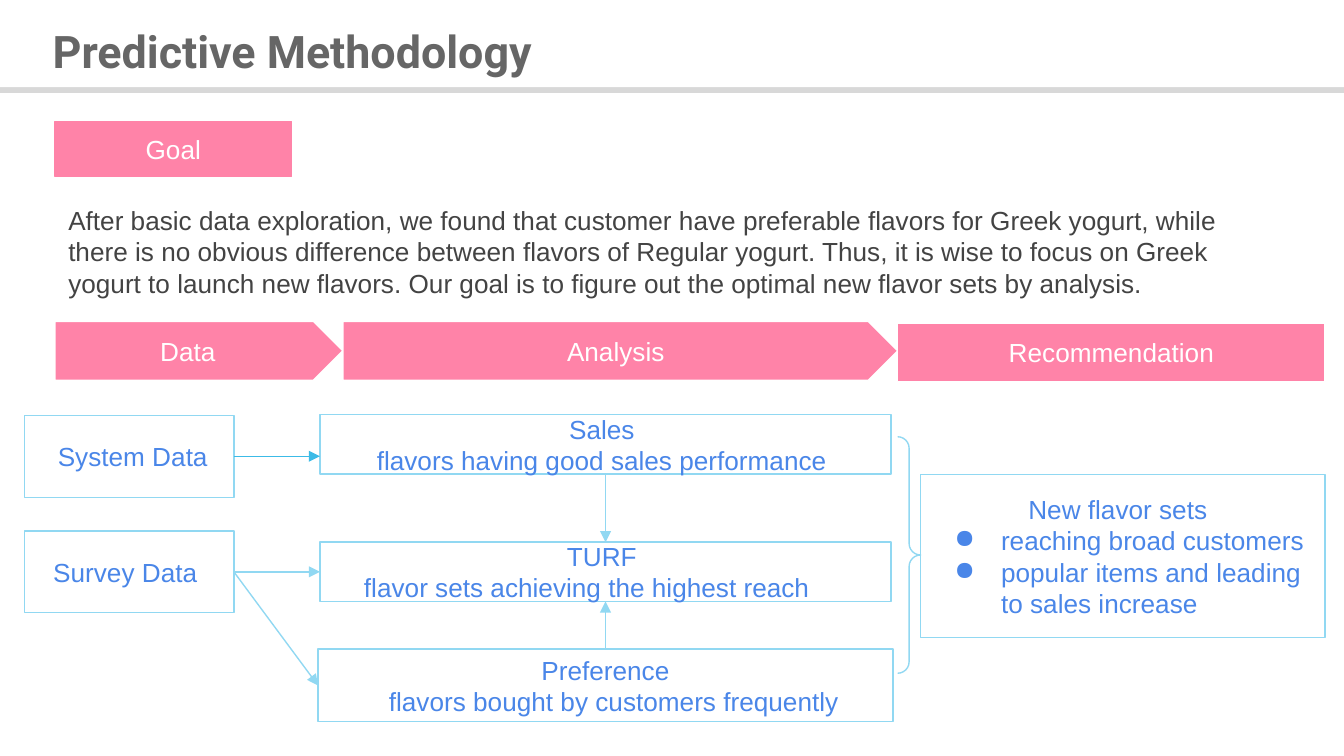
from lxml.etree import SubElement
from pptx import Presentation
from pptx.dml.color import RGBColor
from pptx.enum.shapes import MSO_CONNECTOR, MSO_SHAPE
from pptx.enum.text import MSO_ANCHOR, PP_ALIGN
from pptx.oxml.ns import qn
from pptx.util import Pt

WHITE = RGBColor(0xFF, 0xFF, 0xFF)
PINK = RGBColor(0xFF, 0x83, 0xA8)
BLUE = RGBColor(0x4A, 0x86, 0xE8)
SKY = RGBColor(0x91, 0xD8, 0xF2)
BRIGHT_SKY = RGBColor(0x3C, 0xBB, 0xE7)
TITLE_GRAY = RGBColor(0x66, 0x66, 0x66)
BODY_GRAY = RGBColor(0x43, 0x43, 0x43)
RULE_GRAY = RGBColor(0xD8, 0xD8, 0xD8)

TITLE = "Predictive Methodology"
GOAL = (
    "After basic data exploration, we found that customer have preferable flavors "
    "for Greek yogurt, while there is no obvious difference between flavors of "
    "Regular yogurt. Thus, it is wise to focus on Greek yogurt to launch new flavors. "
    "Our goal is to figure out the optimal new flavor sets by analysis."
)
# label, shape, (left, top, width, height), outline, text shift
BANNERS = [
    ("Goal", MSO_SHAPE.RECTANGLE, (29.5, 65, 126.7, 29.5), PINK, 0),
    ("Data", MSO_SHAPE.PENTAGON, (29.5, 172.2, 154.2, 31.5), WHITE, -2),
    ("Analysis", MSO_SHAPE.PENTAGON, (183.7, 172.2, 297.2, 31.5), WHITE, 1.5),
    ("Recommendation", MSO_SHAPE.RECTANGLE, (480.9, 173, 229, 31.5), WHITE, 0),
]
STEPS = {
    "system": ((13, 222.5, 112.3, 43.9), [("System Data", 2)]),
    "survey": ((13, 284.4, 112.3, 43.9), [("Survey Data", -2)]),
    "sales": ((171.4, 222.2, 306, 31.7),
              [("Sales", -2), ("flavors having good sales performance", -2)]),
    "turf": ((171.4, 290.5, 306, 31.7),
             [("TURF", -2), ("flavor sets achieving the highest reach", -10)]),
    "preference": ((170.4, 347.8, 308, 38.9),
                   [("Preference", 0), ("flavors bought by customers frequently", 4.5)]),
}
RESULT_BOX = (493.2, 254.2, 216.6, 87.5)
RESULT_HEADING = "New flavor sets"
RESULTS = ["reaching broad customers", "popular items and leading to sales increase"]
TOP, LEFT, BOTTOM, RIGHT = range(4)
LINKS = [
    ("survey", RIGHT, "turf", LEFT),
    ("survey", RIGHT, "preference", LEFT),
    ("sales", BOTTOM, "turf", TOP),
    ("preference", TOP, "turf", BOTTOM),
]


def points(values):
    return [Pt(value) for value in values]


def set_frame(frame, anchor, side=7.2, edge=7.2):
    formats = {
        "word_wrap": True, "vertical_anchor": anchor,
        "margin_left": Pt(side), "margin_right": Pt(side),
        "margin_top": Pt(edge), "margin_bottom": Pt(edge),
    }
    for name, value in formats.items():
        setattr(frame, name, value)


def write(paragraph, text, color, align=PP_ALIGN.CENTER, shift=0, **formats):
    paragraph.alignment = align
    if shift:
        margin = "marL" if shift > 0 else "marR"
        paragraph._p.get_or_add_pPr().set(margin, str(Pt(abs(shift) * 2)))
    run = paragraph.add_run()
    run.text = text
    run.font.color.rgb = color
    for name, value in {"name": "Arial", "size": Pt(14), **formats}.items():
        setattr(run.font, name, value)


def add_box(kind, place, outline, fill=None, weight=0.75):
    box = slide.shapes.add_shape(kind, *points(place))
    box.shadow.inherit = False
    if fill is None:
        box.fill.background()
    else:
        box.fill.solid()
        box.fill.fore_color.rgb = fill
    box.line.color.rgb = outline
    box.line.width = Pt(weight)
    set_frame(box.text_frame, MSO_ANCHOR.MIDDLE)
    return box


def add_lines(frame, lines, color):
    for index, (text, shift) in enumerate(lines):
        paragraph = frame.add_paragraph() if index else frame.paragraphs[0]
        write(paragraph, text, color, shift=shift)


def add_arrow(color, start=(0, 0), end=(0, 0)):
    arrow = slide.shapes.add_connector(MSO_CONNECTOR.STRAIGHT, *points(start + end))
    arrow.line.color.rgb = color
    arrow.line.width = Pt(0.75)
    SubElement(arrow.line._get_or_add_ln(), qn("a:tailEnd"), type="triangle")
    SubElement(arrow._element.spPr, qn("a:effectLst"))
    return arrow


def add_bullet(paragraph):
    properties = paragraph._p.get_or_add_pPr()
    properties.set("marL", str(Pt(36)))
    properties.set("indent", str(Pt(-25)))
    bullet_color = SubElement(properties, qn("a:buClr"))
    SubElement(bullet_color, qn("a:srgbClr"), val=str(BLUE))
    SubElement(properties, qn("a:buChar"), char="●")


deck = Presentation()
deck.slide_width, deck.slide_height = Pt(720), Pt(405)
slide = deck.slides.add_slide(deck.slide_layouts[6])

title = slide.shapes.add_textbox(*points((-81.4, 15.1, 476, 29.5))).text_frame
set_frame(title, MSO_ANCHOR.BOTTOM, 5, 2.9)
write(title.paragraphs[0], TITLE, TITLE_GRAY, name="Roboto", size=Pt(24), bold=True)
add_box(MSO_SHAPE.RIGHT_ARROW, (-22.3, 44, 764.6, 8.6), WHITE, RULE_GRAY, 1)

goal = slide.shapes.add_textbox(*points((29.5, 102.2, 640.8, 58.3))).text_frame
set_frame(goal, MSO_ANCHOR.TOP)
write(goal.paragraphs[0], GOAL, BODY_GRAY, PP_ALIGN.LEFT)

for label, kind, place, outline, shift in BANNERS:
    banner = add_box(kind, place, outline, PINK)
    add_lines(banner.text_frame, [(label, shift)], WHITE)

steps = {}
for key, (place, lines) in STEPS.items():
    steps[key] = add_box(MSO_SHAPE.RECTANGLE, place, SKY)
    add_lines(steps[key].text_frame, lines, BLUE)

left, top, width, height = STEPS["system"][0]
middle = top + height / 2
sales_left = STEPS["sales"][0][0]
to_sales = add_arrow(BRIGHT_SKY, (left + width, middle), (sales_left, middle))
to_sales.begin_connect(steps["system"], RIGHT)
for source, source_side, target, target_side in LINKS:
    arrow = add_arrow(SKY)
    arrow.begin_connect(steps[source], source_side)
    arrow.end_connect(steps[target], target_side)

result = add_box(MSO_SHAPE.RECTANGLE, RESULT_BOX, SKY).text_frame
write(result.paragraphs[0], RESULT_HEADING, BLUE, PP_ALIGN.LEFT, shift=25.3)
for text in RESULTS:
    paragraph = result.add_paragraph()
    write(paragraph, text, BLUE, PP_ALIGN.LEFT)
    add_bullet(paragraph)

brace = add_box(MSO_SHAPE.RIGHT_BRACE, (480.9, 234, 12.3, 126.7), SKY)
for index in range(2):
    brace.adjustments[index] = 0.5

deck.save("out.pptx")
